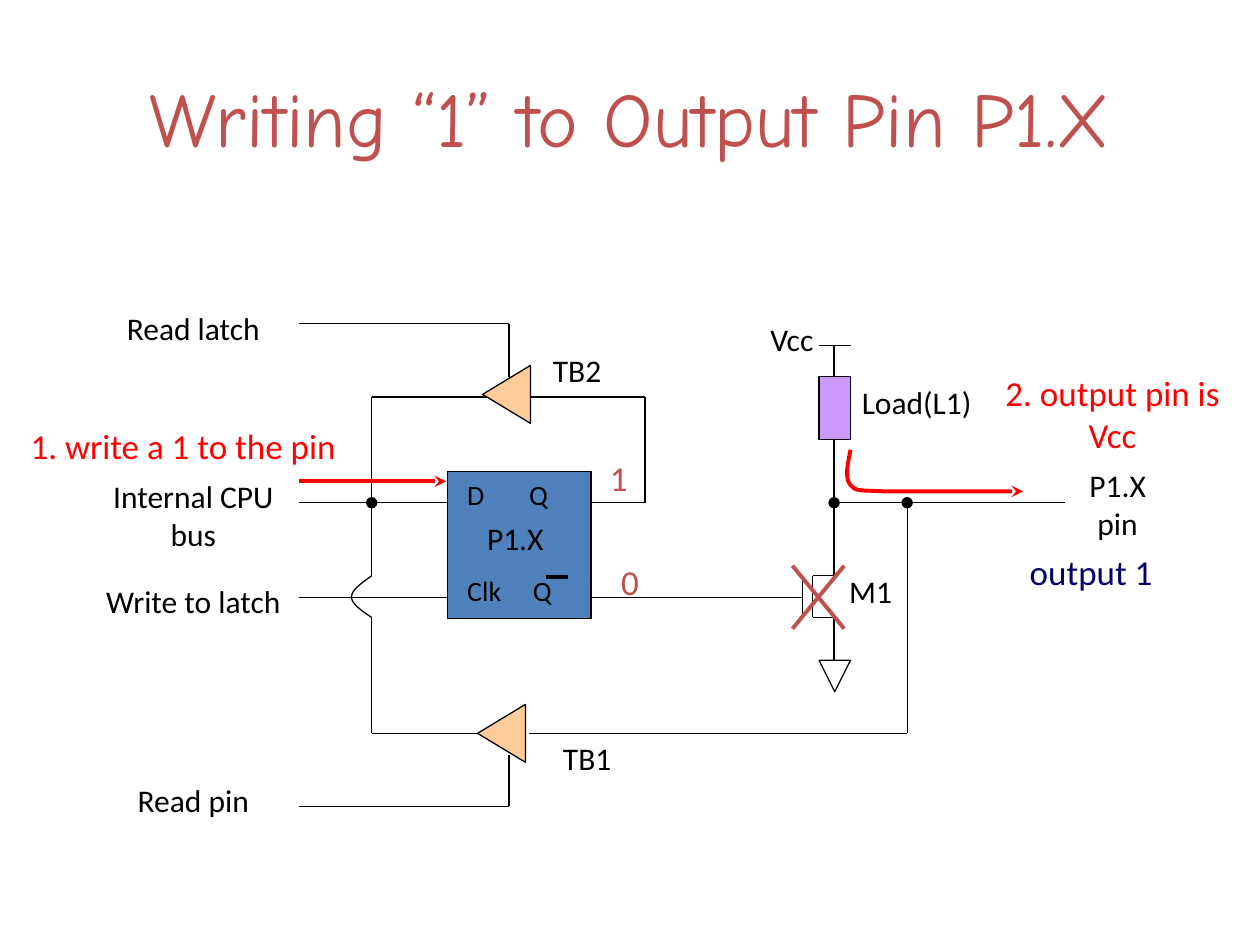
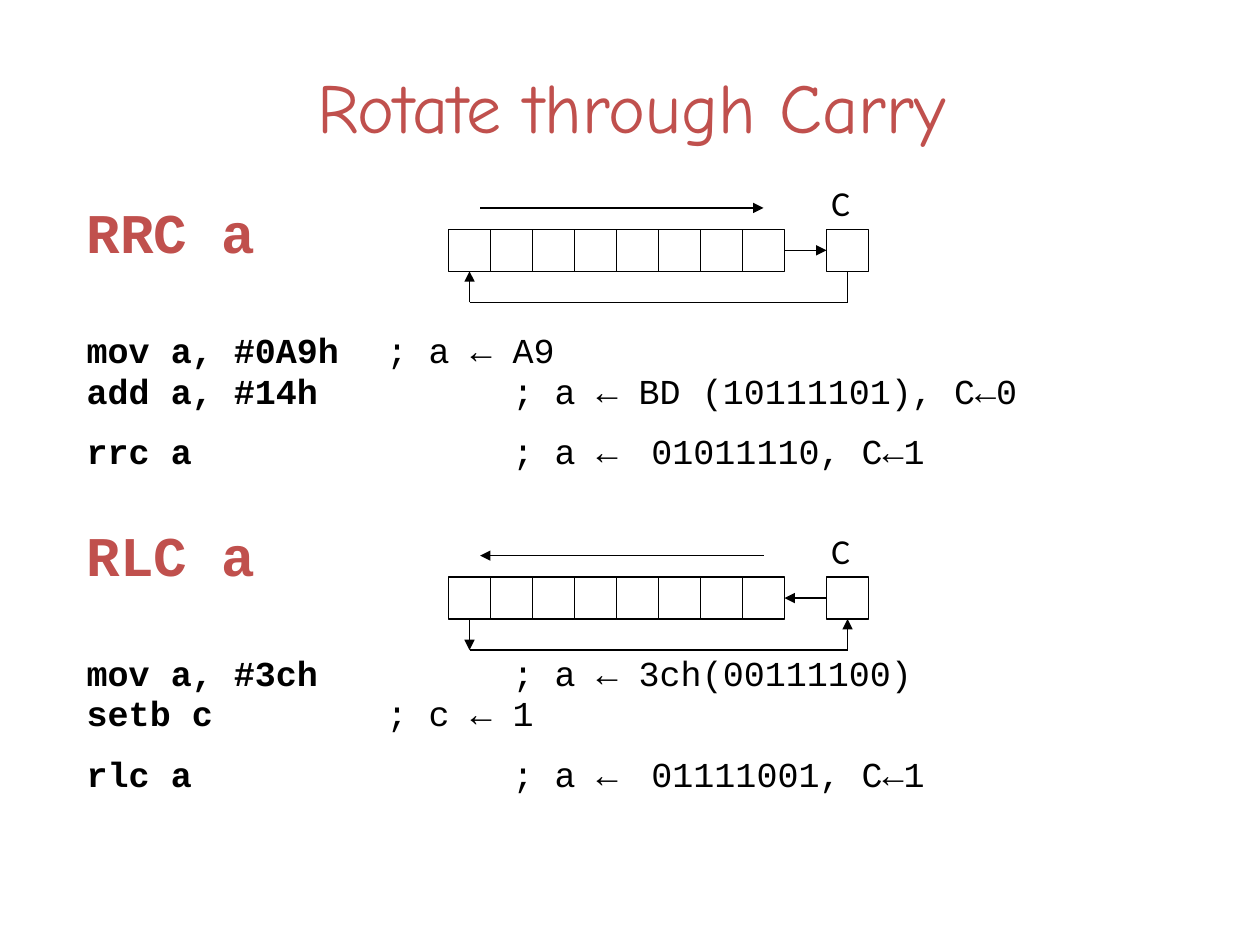
from dataclasses import dataclass

from lxml import etree
from pptx import Presentation
from pptx import util as u
from pptx.dml.color import RGBColor
from pptx.enum import shapes, text
from pptx.oxml.ns import qn

CENTER = text.PP_ALIGN.CENTER
LEFT = text.PP_ALIGN.LEFT


@dataclass(frozen=True)
class Theme:
    black: str = "000000"
    accent: str = "C0504D"
    signal: str = "FF0000"
    output: str = "000066"
    latch: str = "4F81BD"
    buffer: str = "FFCC99"
    load: str = "CC99FF"
    title_font: str = "Comic Neue"
    label_font: str = "Calibri"
    code_font: str = "Courier New"
    title_size: int = 44
    small_title_size: int = 40
    heading_size: int = 32
    note_size: int = 20
    label_size: int = 18
    port_size: int = 16
    thin: float = 0.75
    overbar: float = 2
    thick: float = 2.25


THEME = Theme()


class Deck:
    def __init__(self, theme):
        self.theme = theme
        self.presentation = Presentation()
        self.presentation.slide_width = u.Inches(10)
        self.presentation.slide_height = u.Inches(7.5)
        self.slide = None

    def new_slide(self, title, left, top, size):
        self.slide = self.presentation.slides.add_slide(self.presentation.slide_layouts[6])
        frame = self.text_box((left, top, 9, 1.25))
        frame.vertical_anchor = text.MSO_ANCHOR.MIDDLE
        self.paragraph(frame, [(title, dict(name=self.theme.title_font, size=size,
                                            color=self.theme.accent))], alignment=CENTER)

    def text_box(self, box, wrap=True):
        frame = self.slide.shapes.add_textbox(*map(u.Inches, box)).text_frame
        frame.word_wrap = wrap
        return frame

    def paragraph(self, frame, runs, tabs=(), **formats):
        paragraph = frame.paragraphs[0]
        if paragraph.runs:
            paragraph = frame.add_paragraph()
        if tabs:
            stops = etree.SubElement(paragraph._p.get_or_add_pPr(), qn("a:tabLst"))
            for position in tabs:
                etree.SubElement(stops, qn("a:tab"), pos=str(u.Inches(position)), algn="l")
        for name, value in formats.items():
            setattr(paragraph, name, value)
        for words, style in runs:
            run = paragraph.add_run()
            run.text = words
            values = dict(name=self.theme.label_font, size=self.theme.label_size,
                          color=self.theme.black, bold=False) | style
            run.font.color.rgb = RGBColor.from_string(values.pop("color"))
            values["size"] = u.Pt(values["size"])
            for name, value in values.items():
                setattr(run.font, name, value)

    def label(self, words, box, wrap=True, alignment=CENTER, **style):
        self.paragraph(self.text_box(box, wrap), [(words, style)], alignment=alignment)

    def outline(self, shape, color=None, width=None, arrow=None):
        shape.line.color.rgb = RGBColor.from_string(color or self.theme.black)
        shape.line.width = u.Pt(width or self.theme.thin)
        if arrow:
            line = shape._element.spPr.find(qn("a:ln"))
            etree.SubElement(line, qn("a:tailEnd"), type=arrow)

    def shape(self, kind, box, fill=None, rotation=0):
        shape = self.slide.shapes.add_shape(kind, *map(u.Inches, box))
        shape.shadow.inherit = False
        shape.rotation = rotation
        if fill:
            shape.fill.solid()
            shape.fill.fore_color.rgb = RGBColor.from_string(fill)
        else:
            shape.fill.background()
        self.outline(shape)

    def line(self, x1, y1, x2, y2, **style):
        connector = self.slide.shapes.add_connector(
            shapes.MSO_CONNECTOR.STRAIGHT, *map(u.Inches, (x1, y1, x2, y2)))
        self.outline(connector, **style)
        etree.SubElement(connector._element.spPr, qn("a:effectLst"))

    def wire(self, *points, **style):
        for start, end in zip(points, points[1:]):
            self.line(*start, *end, **style)

    def curve(self, start, *segments, steps=12, **style):
        points, origin = [], start
        for first, second, end in segments:
            for step in range(1, steps + 1):
                t = step / steps
                weights = ((1 - t) ** 3, 3 * t * (1 - t) ** 2, 3 * t ** 2 * (1 - t), t ** 3)
                points.append(tuple(
                    u.Inches(sum(w * p[axis] for w, p in zip(weights, (origin, first, second, end))))
                    for axis in (0, 1)))
            origin = end
        builder = self.slide.shapes.build_freeform(*map(u.Inches, start))
        builder.add_line_segments(points, close=False)
        shape = builder.convert_to_shape()
        shape.shadow.inherit = False
        shape.fill.background()
        self.outline(shape, **style)


def output_pin_slide(deck):
    theme = deck.theme
    kinds = shapes.MSO_SHAPE
    deck.new_slide("Writing “1” to Output Pin P1.X", 0.5, 0.3, theme.title_size)

    bus_y, clock_y, feedback_y, pin_y = 3.99, 4.74, 3.15, 5.82
    left_x, enable_x, drain_x, sense_x = 2.95, 4.04, 6.62, 7.2
    input_x, latch_left, latch_right, q_x = 2.37, 3.55, 4.7, 5.12
    gate_x, channel_x = 6.37, 6.45
    source_top, source_bottom = 4.57, 4.9

    deck.shape(kinds.RECTANGLE, (latch_left, 3.74, 1.14, 1.17), theme.latch)
    ports = deck.text_box((3.61, 3.74, 1.02, 1.17))
    port_style = dict(size=theme.port_size)
    deck.paragraph(ports, [("D\tQ", port_style)], tabs=[0.49])
    deck.paragraph(ports, [("Clk\tQ", port_style)], tabs=[0.52], space_before=u.Pt(35.5))
    deck.line(4.33, 4.58, 4.51, 4.58, width=theme.overbar)

    wires = [
        [(input_x, bus_y), (latch_left, bus_y)],
        [(4.2, feedback_y), (q_x, feedback_y), (q_x, bus_y), (latch_right, bus_y)],
        [(input_x, clock_y), (latch_left, clock_y)],
        [(latch_right, clock_y), (gate_x, clock_y)],
        [(gate_x, source_top), (gate_x, source_bottom)],
        [(drain_x, source_top), (channel_x, source_top),
         (channel_x, source_bottom), (drain_x, source_bottom), (drain_x, 5.24)],
        [(drain_x, 3.49), (drain_x, source_top)],
        [(drain_x, bus_y), (8.45, bus_y)],
        [(drain_x, 2.74), (drain_x, 2.99)],
        [(6.5, 2.74), (6.75, 2.74)],
        [(sense_x, bus_y), (sense_x, pin_y), (4.2, pin_y)],
        [(3.87, feedback_y), (left_x, feedback_y), (left_x, source_top)],
        [(left_x, source_bottom), (left_x, pin_y), (3.79, pin_y)],
        [(input_x, 2.57), (enable_x, 2.57), (enable_x, 2.99)],
        [(input_x, 6.4), (enable_x, 6.4), (enable_x, 5.99)],
    ]
    for points in wires:
        deck.wire(*points)
    deck.curve((left_x, source_top),
               ((2.87, 4.63), (2.79, 4.68), (2.79, clock_y)),
               ((2.79, 4.79), (2.87, 4.85), (left_x, source_bottom)))

    for box in ((3.79, 2.94, 0.46, 0.38), (3.75, 5.63, 0.46, 0.38)):
        deck.shape(kinds.ISOSCELES_TRIANGLE, box, theme.buffer, 270)
    deck.shape(kinds.RECTANGLE, (6.5, 2.99, 0.25, 0.5), theme.load)
    deck.shape(kinds.ISOSCELES_TRIANGLE, (6.5, 5.24, 0.25, 0.25), rotation=180)
    for x in (left_x, drain_x, sense_x):
        deck.shape(kinds.OVAL, (x - 0.04, bus_y - 0.04, 0.08, 0.08), theme.black)

    for words, top, height in (("Read latch", 2.4, 0.4), ("Internal CPU bus", 3.74, 0.7),
                               ("Write to latch", 4.57, 0.4), ("Read pin", 6.15, 0.4)):
        deck.label(words, (0.7, top, 1.67, height))
    for words, box in (("Vcc", (5.95, 2.49, 0.67, 0.4)),
                       ("Load(L1)", (6.65, 2.99, 1.25, 0.4)),
                       ("M1", (6.62, 4.49, 0.58, 0.4)),
                       ("P1.X pin", (8.37, 3.65, 1, 0.7)),
                       ("P1.X", (3.59, 4.07, 1, 0.4)),
                       ("TB1", (4.2, 5.82, 0.92, 0.4)),
                       ("TB2", (4.12, 2.74, 0.92, 0.4))):
        deck.label(words, box)
    for words, box, color in (("2. output pin is Vcc", (7.87, 2.9, 1.92, 0.77), theme.signal),
                              ("1. write a 1 to the pin", (0.04, 3.32, 2.83, 0.43), theme.signal),
                              ("1", (4.7, 3.57, 0.42, 0.43), theme.accent),
                              ("0", (4.79, 4.4, 0.42, 0.43), theme.accent),
                              ("output 1", (7.87, 4.32, 1.58, 0.43), theme.output)):
        deck.label(words, box, size=theme.note_size, color=color)

    signal = dict(color=theme.signal, width=theme.thick, arrow="stealth")
    deck.line(input_x, 3.82, 3.54, 3.82, **signal)
    for start_x, end_x in ((6.29, 6.7), (6.7, 6.29)):
        deck.line(start_x, 4.49, end_x, 4.99, color=theme.accent, width=theme.thick)
    deck.curve((6.75, 3.57),
               ((6.73, 3.68), (6.7, 3.79), (6.75, 3.85)),
               ((6.8, 3.9), (6.8, 3.89), (7.02, 3.9)),
               ((7.25, 3.9), (7.69, 3.9), (8.12, 3.9)), **signal)


def rotate_diagram(deck, top, to_right):
    cell = 1 / 3
    register_x, carry_x = 3.56, 6.56
    register_end = register_x + 8 * cell
    first_x, last_x = register_x + cell / 2, carry_x + cell / 2
    middle, bottom, loop_y = top + cell / 2, top + cell, top + 0.58
    for x in [register_x + index * cell for index in range(8)] + [carry_x]:
        deck.shape(shapes.MSO_SHAPE.RECTANGLE, (x, top, cell, cell))

    for start, end in (((3.81, top - 0.17), (6.06, top - 0.17)),
                       ((register_end, middle), (carry_x, middle))):
        deck.wire(*((start, end) if to_right else (end, start)), arrow="triangle")
    deck.line(first_x, loop_y, last_x, loop_y)
    if to_right:
        deck.line(last_x, bottom, last_x, loop_y)
        deck.line(first_x, loop_y, first_x, bottom, arrow="triangle")
    else:
        deck.line(first_x, bottom, first_x, loop_y, arrow="triangle")
        deck.line(last_x, loop_y, last_x, bottom, arrow="triangle")
    deck.label("C", (6.5, top - 0.43, 0.39, 0.43), wrap=False, alignment=LEFT,
               size=deck.theme.note_size)


def rotate_slide(deck):
    theme = deck.theme
    deck.new_slide("Rotate through Carry", 0.51, 0.21, theme.small_title_size)
    near, far = 2.38, 3.38
    code = dict(name=theme.code_font, size=theme.note_size)
    heading = dict(name=theme.code_font, size=theme.heading_size, color=theme.accent, bold=True)
    sections = [
        ("RRC a", 0, [("mov a, #0A9h", near, "; a ← A9"),
                      ("add a, #14h", far, "; a ← BD (10111101), C←0")],
         "rrc a", "01011110, C←1"),
        ("RLC a", 33, [("mov a, #3ch", far, "; a ← 3ch(00111100)"),
                       ("setb c", near, "; c ← 1")],
         "rlc a", "01111001, C←1"),
    ]
    frame = deck.text_box((0.59, 1.62, 8.5, 5.28))
    for name, gap, setup, rotate, result in sections:
        deck.paragraph(frame, [(name, heading)], line_spacing=0.8, space_before=u.Pt(gap))
        for (command, stop, comment), space in zip(setup, (41.5, 4)):
            deck.paragraph(frame, [(command, code | dict(bold=True)), ("\t" + comment, code)],
                           tabs=[stop], line_spacing=0.8, space_before=u.Pt(space))
        deck.paragraph(frame, [(rotate, code | dict(bold=True)), ("\t; a ←", code),
                               (" ", code | dict(size=theme.heading_size)), (result, code)],
                       tabs=[far], line_spacing=0.8, space_before=u.Pt(6))
    rotate_diagram(deck, 1.82, to_right=True)
    rotate_diagram(deck, 4.58, to_right=False)


def main():
    deck = Deck(THEME)
    output_pin_slide(deck)
    rotate_slide(deck)
    deck.presentation.save("out.pptx")


if __name__ == "__main__":
    main()
